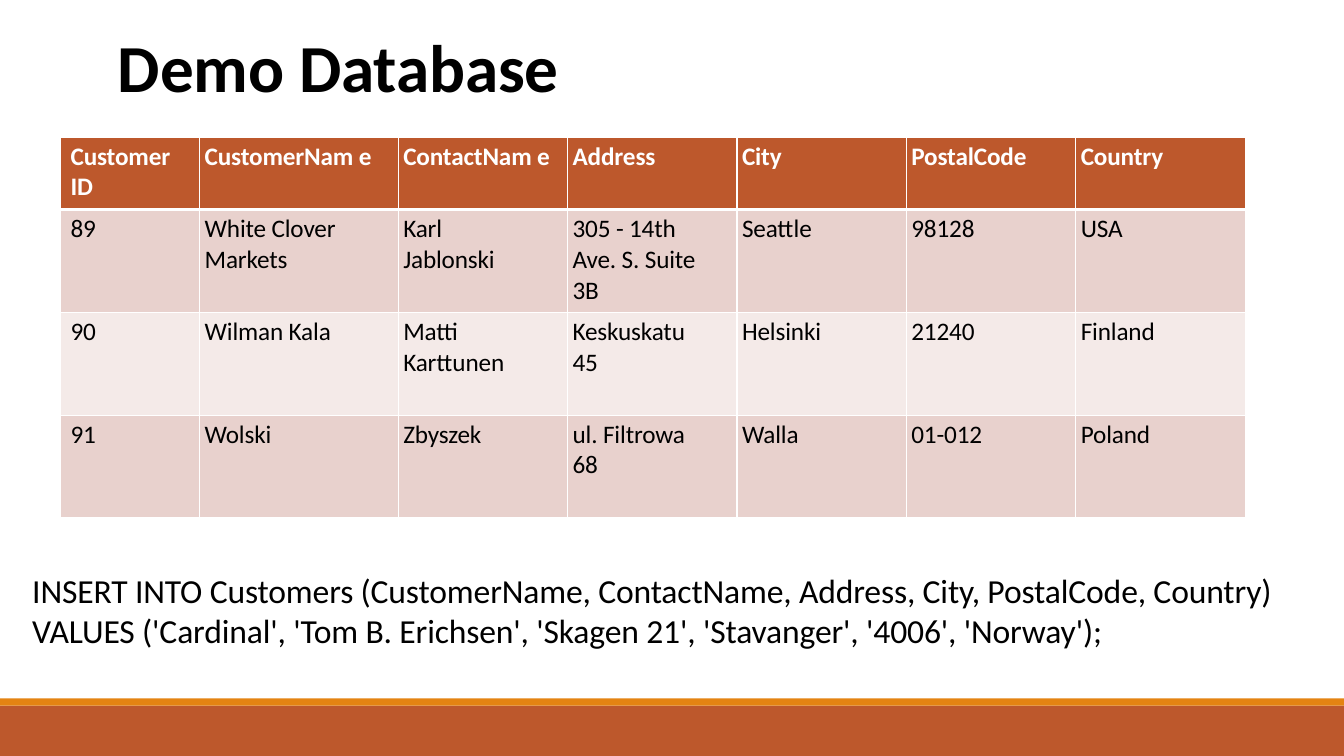
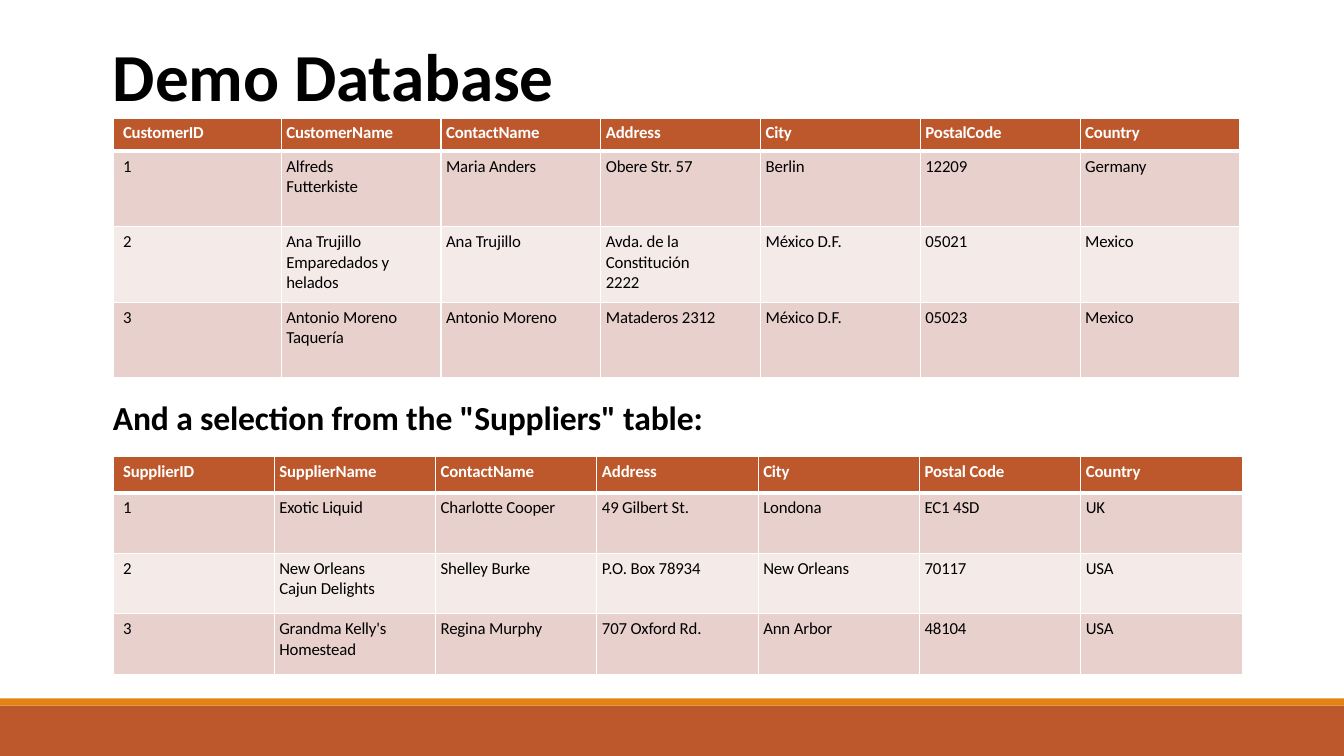
from dataclasses import dataclass

from lxml.etree import SubElement
from pptx import Presentation
from pptx.dml.color import RGBColor
from pptx.enum.shapes import MSO_SHAPE as Preset
from pptx.enum.text import MSO_ANCHOR as Anchor, PP_ALIGN as Align
from pptx.oxml.ns import qn
from pptx.slide import Slide, SlideLayout
from pptx.table import _Cell as Cell
from pptx.text.text import TextFrame
from pptx.util import Inches, Pt

# Shared style
FONT = "Calibri"
BLACK = RGBColor(0x00, 0x00, 0x00)
WHITE = RGBColor(0xFF, 0xFF, 0xFF)
RUST = RGBColor(0xBD, 0x58, 0x2C)
ORANGE = RGBColor(0xE4, 0x83, 0x12)
ROW_DARK = RGBColor(0xE8, 0xD1, 0xCD)
ROW_LIGHT = RGBColor(0xF4, 0xEA, 0xE8)
TITLE_SIZE, TEXT_SIZE = 48, 24
LETTER_SPACING = -10  # hundredths of a point
THIN, THICK = 1, 3
SLIDE_WIDTH, SLIDE_HEIGHT = 13.33, 7.5


@dataclass(frozen=True)
class Box:
    left: float
    top: float
    width: float
    height: float

    def lengths(self) -> tuple[int, ...]:
        return tuple(Inches(v) for v in (self.left, self.top, self.width, self.height))


@dataclass(frozen=True)
class DataTable:
    left: float
    top: float
    columns: list[float]
    row_heights: list[float]
    font_size: int
    margin_top: float
    body_margin_right: float
    rows: list[list[str]]


BANDS = [
    (Box(0, 7, SLIDE_WIDTH, 0.5), RUST),
    (Box(0, 6.93, SLIDE_WIDTH, 0.07), ORANGE),
]

CUSTOMERS_END = DataTable(
    0.6, 1.36, [1.38, 1.97] + [1.68] * 5, [0.72] + [1.02] * 3, 18, 0.04, 0.3,
    [
        ["Customer ID", "CustomerNam e", "ContactNam e", "Address", "City",
         "PostalCode", "Country"],
        ["89", "White Clover\nMarkets", "Karl\nJablonski",
         "305 - 14th\nAve. S. Suite 3B", "Seattle", "98128", "USA"],
        ["90", "Wilman Kala", "Matti Karttunen", "Keskuskatu 45", "Helsinki",
         "21240", "Finland"],
        ["91", "Wolski", "Zbyszek", "ul. Filtrowa 68", "Walla", "01-012", "Poland"],
    ],
)

CUSTOMERS_START = DataTable(
    1.12, 1.17, [1.67] + [1.585] * 6, [0.33] + [0.75] * 3, 12, 0.05, 0.38,
    [
        ["CustomerID", "CustomerName", "ContactName", "Address", "City",
         "PostalCode", "Country"],
        ["1", "Alfreds Futterkiste", "Maria Anders", "Obere Str. 57", "Berlin",
         "12209", "Germany"],
        ["2", "Ana Trujillo Emparedados y helados", "Ana Trujillo",
         "Avda. de la Constitución 2222", "México D.F.", "05021", "Mexico"],
        ["3", "Antonio Moreno\nTaquería", "Antonio Moreno", "Mataderos 2312",
         "México D.F.", "05023", "Mexico"],
    ],
)

SUPPLIERS = DataTable(
    1.12, 4.53, [1.6] * 7, [0.36] + [0.6] * 3, 12, 0.05, 0.37,
    [
        ["SupplierID", "SupplierName", "ContactName", "Address", "City",
         "Postal Code", "Country"],
        ["1", "Exotic Liquid", "Charlotte Cooper", "49 Gilbert St.", "Londona",
         "EC1 4SD", "UK"],
        ["2", "New Orleans Cajun Delights", "Shelley Burke", "P.O. Box 78934",
         "New Orleans", "70117", "USA"],
        ["3", "Grandma Kelly's Homestead", "Regina Murphy", "707 Oxford Rd.",
         "Ann Arbor", "48104", "USA"],
    ],
)


def write_text(frame: TextFrame, text: str, size: int, color: RGBColor = BLACK,
               bold: bool = False) -> None:
    frame.text = text
    for paragraph in frame.paragraphs:
        paragraph.alignment = Align.LEFT
        for run in paragraph.runs:
            font = run.font
            font.name, font.size, font.bold = FONT, Pt(size), bold
            font.color.rgb = color
            run._r.get_or_add_rPr().set("spc", str(LETTER_SPACING))


def set_insets(frame: TextFrame) -> None:
    frame.word_wrap = True
    frame.margin_left = frame.margin_right = frame.margin_bottom = 0
    frame.margin_top = Inches(0.01)


def add_bands(slide: Slide, layout: SlideLayout) -> None:
    """Draw the footer bands and hand them to the layout."""
    for box, color in BANDS:
        band = slide.shapes.add_shape(Preset.RECTANGLE, *box.lengths())
        band.shadow.inherit = False
        band.fill.solid()
        band.fill.fore_color.rgb = color
        band.line.fill.background()
        layout.shapes.element.append(band.element)


def set_title(slide: Slide, box: Box) -> None:
    title = slide.shapes.title
    title.left, title.top, title.width, title.height = box.lengths()
    set_insets(title.text_frame)
    title.text_frame.vertical_anchor = Anchor.BOTTOM
    write_text(title.text_frame, "Demo Database", TITLE_SIZE, bold=True)


def add_text(slide: Slide, box: Box, text: str, bold: bool = False) -> None:
    frame = slide.shapes.add_textbox(*box.lengths()).text_frame
    set_insets(frame)
    write_text(frame, text, TEXT_SIZE, bold=bold)


def set_borders(cell: Cell, top: int, bottom: int) -> None:
    properties = cell._tc.get_or_add_tcPr()
    for side, width in (("lnL", THIN), ("lnR", THIN), ("lnT", top), ("lnB", bottom)):
        line = SubElement(properties, qn(f"a:{side}"), w=str(Pt(width)))
        fill = SubElement(line, qn("a:solidFill"))
        SubElement(fill, qn("a:srgbClr"), val=str(WHITE))


def add_data_table(slide: Slide, data: DataTable) -> None:
    box = Box(data.left, data.top, sum(data.columns), sum(data.row_heights))
    table = slide.shapes.add_table(
        len(data.rows), len(data.columns), *box.lengths()).table
    for column, width in zip(table.columns, data.columns):
        column.width = Inches(width)
    for row, height in zip(table.rows, data.row_heights):
        row.height = Inches(height)

    for r, texts in enumerate(data.rows):
        header = r == 0
        background = RUST if header else ROW_DARK if r % 2 else ROW_LIGHT
        for c, text in enumerate(texts):
            cell = table.cell(r, c)
            set_borders(cell, THICK if r == 1 else THIN, THICK if header else THIN)
            cell.fill.solid()
            cell.fill.fore_color.rgb = background
            cell.margin_left = Inches(0.05 if c else 0.1)
            cell.margin_right = Inches(0.1 if header else data.body_margin_right)
            cell.margin_top = Inches(data.margin_top)
            cell.margin_bottom = 0
            write_text(cell.text_frame, text, data.font_size,
                       WHITE if header else BLACK, header)


def main() -> None:
    presentation = Presentation()
    presentation.slide_width = Inches(SLIDE_WIDTH)
    presentation.slide_height = Inches(SLIDE_HEIGHT)
    layout = presentation.slide_layouts[5]

    # Inserting a customer
    slide = presentation.slides.add_slide(layout)
    add_bands(slide, layout)
    set_title(slide, Box(1.17, 0.23, 5, 0.82))
    add_data_table(slide, CUSTOMERS_END)
    add_text(
        slide, Box(0.32, 5.64, 12.5, 0.82),
        "INSERT INTO Customers (CustomerName, ContactName, Address, City, "
        "PostalCode, Country)\n"
        "VALUES ('Cardinal', 'Tom B. Erichsen', 'Skagen 21', 'Stavanger', "
        "'4006', 'Norway');")

    # Customers and suppliers
    slide = presentation.slides.add_slide(layout)
    set_title(slide, Box(1.12, 0.32, 4.7, 0.82))
    add_data_table(slide, CUSTOMERS_START)
    add_data_table(slide, SUPPLIERS)
    add_text(slide, Box(1.12, 3.93, 6.1, 0.43),
             'And a selection from the "Suppliers" table:', bold=True)

    presentation.save("out.pptx")


if __name__ == "__main__":
    main()
